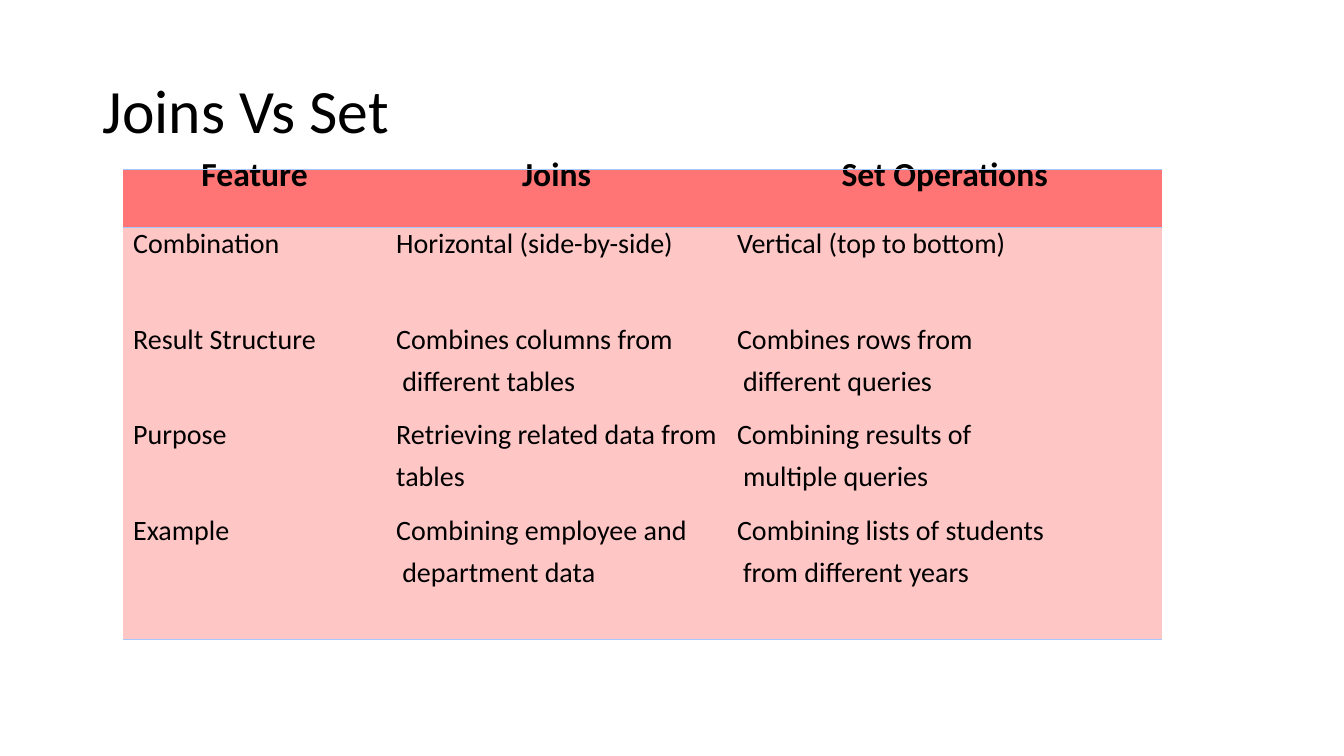
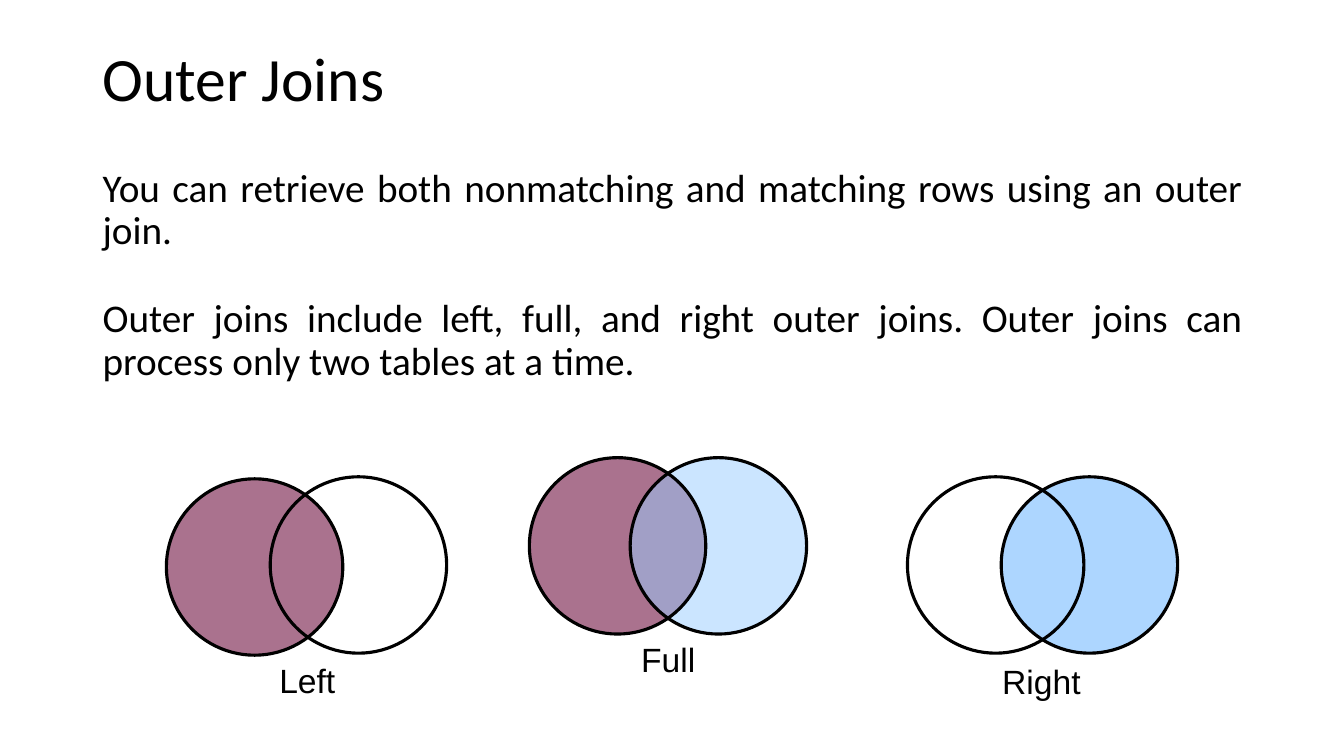
import pptx
import pptx.util
import pptx.dml.color
import pptx.enum.text
import pptx.enum.shapes
import pptx.oxml.ns
import lxml.etree as etree

Inches = pptx.util.Inches
Pt = pptx.util.Pt
RGB = pptx.dml.color.RGBColor
Align = pptx.enum.text.PP_ALIGN
Anchor = pptx.enum.text.MSO_ANCHOR
qn = pptx.oxml.ns.qn

BLACK = RGB(0x00, 0x00, 0x00)
CORAL = RGB(0xFF, 0x74, 0x74)
PINK = RGB(0xFF, 0xC6, 0xC6)
RULE = RGB(0xA3, 0xC9, 0xFF)
PLUM = RGB(0x95, 0x4F, 0x72)
SKY = RGB(0x99, 0xCC, 0xFF)

SANS = "Calibri"
LABEL = "Arial"
PLAIN = "{2D5ABB26-0587-4C30-8999-92F81FD0307C}"
SIZE = 1.75
COLS = [2.61, 3.38, 4.32]
TALL = [0.58, 0.95, 0.95, 0.95, 1.23]
ROWS = [
    ["Feature", "Joins", "Set Operations"],
    ["Combination", "Horizontal (side-by-side)", "Vertical (top to bottom)"],
    ["Result Structure", "Combines columns from\n different tables",
     "Combines rows from\n different queries"],
    ["Purpose", "Retrieving related data from\ntables",
     "Combining results of\n multiple queries"],
    ["Example", "Combining employee and\n department data",
     "Combining lists of students\n from different years"],
]
BODY = [
    "You can retrieve both nonmatching and matching rows using an outer join.",
    "Outer joins include left, full, and right outer joins. "
    "Outer joins can process only two tables at a time.",
]


def style(para, size, name=SANS, bold=False):
    para.font.size = Pt(size)
    para.font.name = name
    para.font.bold = bold
    para.font.color.rgb = BLACK


def write(frame, lines, size, gap=0, name=SANS, bold=False, align=None, pitch=None):
    for i, line in enumerate(lines):
        para = frame.add_paragraph() if i else frame.paragraphs[0]
        para.text = line.lstrip()
        if line.startswith(" "):
            para._p.get_or_add_pPr().set("marL", str(Inches(0.06)))
        if i:
            para.space_before = Pt(gap)
        if pitch:
            para.line_spacing = pitch
        para.alignment = align
        style(para, size, name, bold)


def add_text(slide, left, top, width, height):
    box = slide.shapes.add_textbox(*map(Inches, (left, top, width, height)))
    box.text_frame.word_wrap = True
    return box.text_frame


def add_title(slide, text, height):
    frame = add_text(slide, 0.92, 0.4, 11.5, height)
    frame.vertical_anchor = Anchor.MIDDLE
    write(frame, [text], 44, pitch=0.9)


def add_edge(cell, side):
    edge = etree.Element(qn("a:" + side), w=str(Pt(0.75)))
    fill = etree.SubElement(edge, qn("a:solidFill"))
    etree.SubElement(fill, qn("a:srgbClr"), val=str(RULE))
    cell._tc.get_or_add_tcPr().append(edge)


def fill_cell(cell, text, head, last):
    cell.margin_left = cell.margin_right = Inches(0.1)
    cell.margin_top = Inches(0.05 if head else 0.12)
    cell.margin_bottom = Inches(0.12)
    if head:
        add_edge(cell, "lnT")
    if head or last:
        add_edge(cell, "lnB")
    cell.fill.solid()
    cell.fill.fore_color.rgb = CORAL if head else PINK
    write(cell.text_frame, text.split("\n"), 24 if head else 20, gap=15,
          bold=head, align=Align.CENTER if head else Align.LEFT, pitch=Pt(15))


def add_grid(slide):
    table = slide.shapes.add_table(
        len(ROWS), len(COLS), Inches(1.22), Inches(1.68),
        Inches(sum(COLS)), Inches(sum(TALL))).table
    table._tbl.tblPr.find(qn("a:tableStyleId")).text = PLAIN
    table.horz_banding = False
    for col, width in zip(table.columns, COLS):
        col.width = Inches(width)
    for r, (row, height) in enumerate(zip(ROWS, TALL)):
        table.rows[r].height = Inches(height)
        for c, text in enumerate(row):
            fill_cell(table.cell(r, c), text, r == 0, r == len(ROWS) - 1)


def add_disc(slide, left, top, color=None, alpha=100, line=True):
    disc = slide.shapes.add_shape(
        pptx.enum.shapes.MSO_SHAPE.OVAL,
        Inches(left), Inches(top), Inches(SIZE), Inches(SIZE))
    disc.shadow.inherit = False
    if color is None:
        disc.fill.background()
    else:
        disc.fill.solid()
        disc.fill.fore_color.rgb = color
        tint = disc._element.spPr.find(qn("a:solidFill"))[0]
        etree.SubElement(tint, qn("a:alpha"), val=str(alpha * 1000))
    if line:
        disc.line.color.rgb = BLACK
        disc.line.width = Pt(2.25)
    else:
        disc.line.fill.background()


def add_venn(slide, left, right, plum=False, sky=None):
    if plum:
        add_disc(slide, *left, PLUM, 80, line=False)
    if sky:
        add_disc(slide, *right, SKY, sky)
    else:
        add_disc(slide, *right)
    add_disc(slide, *left)


def add_label(slide, text, left, top, width):
    frame = add_text(slide, left, top, width, 0.4)
    frame.word_wrap = False
    frame.margin_left = frame.margin_right = 0
    frame.margin_top = frame.margin_bottom = 0
    write(frame, [text], 24, name=LABEL)


def main():
    deck = pptx.Presentation()
    deck.slide_width = Inches(13.33)
    deck.slide_height = Inches(7.5)
    blank = deck.slide_layouts[6]

    slide = deck.slides.add_slide(blank)
    add_title(slide, "Joins Vs Set", 1.45)
    add_grid(slide)

    slide = deck.slides.add_slide(blank)
    add_title(slide, "Outer Joins", 0.81)
    frame = add_text(slide, 0.92, 1.62, 11.5, 5.14)
    write(frame, BODY, 28, gap=33, align=Align.JUSTIFY, pitch=0.9)
    add_venn(slide, (5.25, 4.54), (6.25, 4.54), plum=True, sky=50)
    add_label(slide, "Full", 6.36, 6.34, 0.54)
    add_venn(slide, (9, 4.73), (9.93, 4.73), sky=80)
    add_label(slide, "Right", 9.94, 6.56, 0.79)
    add_venn(slide, (1.65, 4.75), (2.68, 4.73), plum=True)
    add_label(slide, "Left", 2.77, 6.55, 0.56)

    deck.save("out.pptx")


if __name__ == "__main__":
    main()
